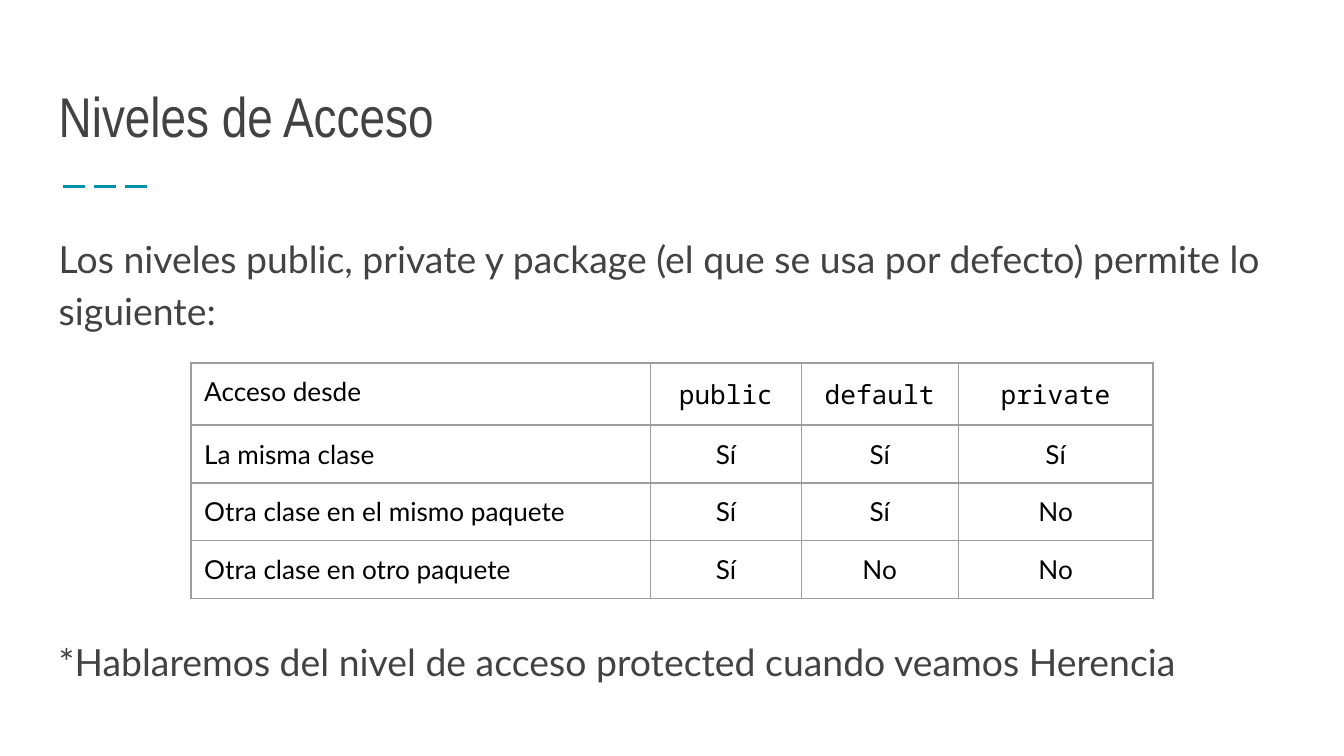
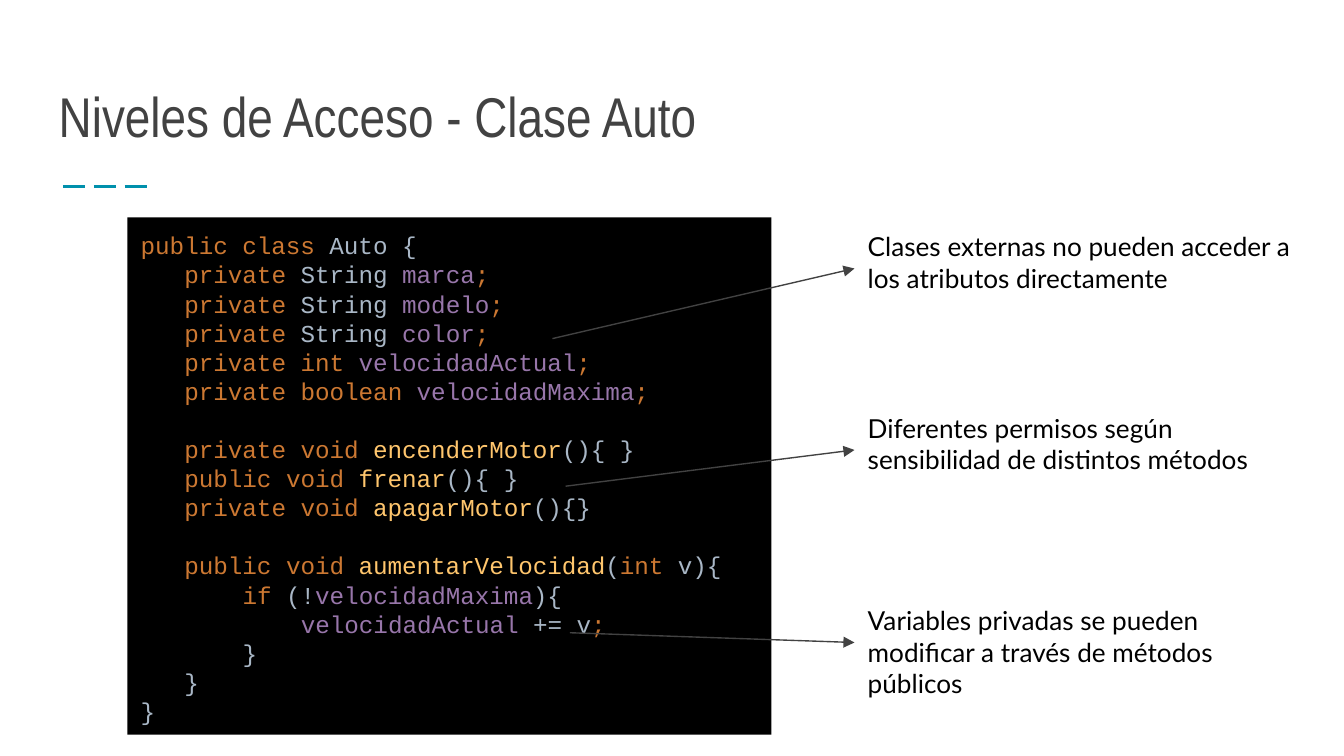
from lxml.etree import SubElement
from pptx import Presentation
from pptx.dml.color import RGBColor
from pptx.enum.dml import MSO_LINE
from pptx.enum.shapes import MSO_CONNECTOR, MSO_SHAPE
from pptx.enum.text import MSO_ANCHOR, MSO_AUTO_SIZE, PP_ALIGN
from pptx.oxml.ns import qn
from pptx.util import Cm, Pt

COLORS = {
    "ink": "424242", "accent": "0090AC", "black": "000000", "grid": "9E9E9E",
    "keyword": "CC7832", "plain": "A9B7C6", "field": "9876AA", "method": "FFC66D",
}
FONTS = {
    "title": {"name": "Arial Narrow", "size": Pt(30)},
    "body": {"name": "Lato", "size": Pt(20)},
    "small": {"name": "Lato", "size": Pt(14)},
    "mono": {"name": "Noto Sans Mono", "size": Pt(14)},
    "code": {"name": "Courier New", "size": Pt(13)},
}
MARGIN = Cm(0.25)
FRAME = {
    "word_wrap": True, "auto_size": MSO_AUTO_SIZE.NONE, "vertical_anchor": MSO_ANCHOR.TOP,
    "margin_left": MARGIN, "margin_right": MARGIN,
    "margin_top": MARGIN, "margin_bottom": MARGIN,
}
CELL = {key: MARGIN for key in FRAME if key.startswith("margin")}
LEFT, WIDTH = 0.86, 23.67
CODE_CHAR, CODE_LINE = 7.8, 15.6  # points
BODY_LINE, BODY_GAP, TABLE_LINES = 27.6, 10, 4  # points, and lines kept for the table


def apply(target, values):
    for key, value in values.items():
        setattr(target, key, value)


def rgb(color):
    return RGBColor.from_string(COLORS[color])


class Deck:
    def __init__(self):
        self.prs = Presentation()
        apply(self.prs, {"slide_width": Cm(25.4), "slide_height": Cm(14.29)})
        self.slide = None

    def place(self, shape, *box):
        apply(shape, dict(zip(("left", "top", "width", "height"), map(Cm, box))))

    def add_text(self, paragraph, text, font, color):
        run = paragraph.add_run()
        run.text = text
        apply(run.font, FONTS[font])
        run.font.color.rgb = rgb(color)

    def new_slide(self, title, layout):
        self.slide = self.prs.slides.add_slide(self.prs.slide_layouts[layout])
        self.line((1.19, 3.53), (2.9, 3.53), "accent", 1.5).line.dash_style = MSO_LINE.LONG_DASH
        heading = self.slide.shapes.title
        self.place(heading, LEFT, 1.04, WIDTH, 2.03)
        apply(heading.text_frame, {**FRAME, "vertical_anchor": MSO_ANCHOR.BOTTOM})
        paragraph = heading.text_frame.paragraphs[0]
        paragraph.alignment = PP_ALIGN.LEFT
        self.add_text(paragraph, title, "title", "ink")

    def body(self, entries):
        """Entries are (text, points before the paragraph)."""
        body = self.slide.placeholders[1]
        self.place(body, LEFT, 4.09, WIDTH, 8.61)
        apply(body.text_frame, FRAME)
        for number, (text, before) in enumerate(entries):
            paragraph = body.text_frame.add_paragraph() if number else body.text_frame.paragraphs[0]
            apply(paragraph, {"line_spacing": 1.15, "space_before": Pt(before)})
            properties = paragraph._p.get_or_add_pPr()
            properties.set("marL", "0")
            properties.set("indent", "0")
            SubElement(properties, qn("a:buNone"))
            self.add_text(paragraph, text, "body", "ink")

    def line(self, start, end, color, weight):
        line = self.slide.shapes.add_connector(MSO_CONNECTOR.STRAIGHT, *map(Cm, start + end))
        line.line.color.rgb = rgb(color)
        line.line.width = Pt(weight)
        SubElement(line._element.spPr, qn("a:effectLst"))
        return line

    def arrow(self, start, note):
        arrow = self.line(start, start, "ink", 0.75)
        arrow.end_connect(note, 1)
        SubElement(arrow._element.spPr.find(qn("a:ln")), qn("a:tailEnd"), type="triangle")

    def note(self, text, *box):
        note = self.slide.shapes.add_textbox(*map(Cm, box))
        apply(note.text_frame, FRAME)
        self.add_text(note.text_frame.paragraphs[0], text, "small", "black")
        return note

    def table(self, rows, left, top, widths, row_height):
        frame = self.slide.shapes.add_table(
            len(rows), len(widths), Cm(left), Cm(top), Cm(sum(widths)), Cm(row_height * len(rows)))
        table = frame.table
        apply(table, {"first_row": False, "horz_banding": False})
        for column, width in zip(table.columns, widths):
            column.width = Cm(width)
        for r, row in enumerate(rows):
            for c, text in enumerate(row):
                cell = table.cell(r, c)
                apply(cell, CELL)
                self.borders(cell)
                cell.fill.background()
                paragraph = cell.text_frame.paragraphs[0]
                paragraph.alignment = PP_ALIGN.CENTER if c else PP_ALIGN.LEFT
                self.add_text(paragraph, text, "mono" if c and not r else "small", "black")

    def borders(self, cell):
        properties = cell._tc.get_or_add_tcPr()
        for side in ("lnL", "lnR", "lnT", "lnB"):
            border = SubElement(properties, qn(f"a:{side}"), w=str(Pt(0.75)))
            fill = SubElement(border, qn("a:solidFill"))
            SubElement(fill, qn("a:srgbClr"), val=COLORS["grid"])

    def code(self, lines, *box):
        """Lines are (indent in characters, empty lines before, coloured parts)."""
        panel = self.slide.shapes.add_shape(MSO_SHAPE.RECTANGLE, *map(Cm, box))
        panel.shadow.inherit = False
        panel.fill.solid()
        panel.fill.fore_color.rgb = rgb("black")
        panel.line.fill.background()
        apply(panel.text_frame, FRAME)
        for number, (indent, gap, parts) in enumerate(lines):
            paragraph = panel.text_frame.add_paragraph() if number else panel.text_frame.paragraphs[0]
            apply(paragraph, {"alignment": PP_ALIGN.LEFT, "line_spacing": Pt(CODE_LINE),
                              "space_before": Pt(gap * CODE_LINE)})
            paragraph._p.get_or_add_pPr().set("marL", str(Pt(indent * CODE_CHAR)))
            for text, color in parts:
                self.add_text(paragraph, text, "code", color)


def attribute(kind, name, color="keyword"):
    return 3, 0, [("private ", "keyword"), (f"{kind} ", color), (name, "field"), (";", "keyword")]


def method(access, name, rest, gap=0):
    return 3, gap, [(f"{access} void ", "keyword"), (name, "method"), *rest]


def closing(indent):
    return indent, 0, [("}", "plain")]


def access_levels(deck):
    deck.new_slide("Niveles de Acceso", 1)
    deck.body([
        ("Los niveles public, private y package (el que se usa por defecto) permite lo siguiente:", 0),
        ("*Hablaremos del nivel de acceso protected cuando veamos Herencia",
         TABLE_LINES * (BODY_LINE + BODY_GAP) + BODY_GAP),
    ])
    deck.table([
        ("Acceso desde", "public", "default", "private"),
        ("La misma clase", "Sí", "Sí", "Sí"),
        ("Otra clase en el mismo paquete", "Sí", "Sí", "No"),
        ("Otra clase en otro paquete", "Sí", "No", "No"),
    ], 3.61, 6.86, (8.69, 2.84, 2.97, 3.68), 1.07)


def auto_class(deck):
    deck.new_slide("Niveles de Acceso - Clase Auto", 5)
    # Class listing
    deck.code([
        (0, 0, [("public class ", "keyword"), ("Auto {", "plain")]),
        *(attribute("String", name, "plain") for name in ("marca", "modelo", "color")),
        attribute("int", "velocidadActual"),
        attribute("boolean", "velocidadMaxima"),
        method("private", "encenderMotor", [("(){ }", "plain")], gap=1),
        method("public", "frenar", [("(){ }", "plain")]),
        method("private", "apagarMotor", [("(){}", "plain")]),
        method("public", "aumentarVelocidad",
               [("(", "plain"), ("int ", "keyword"), ("v){", "plain")], gap=1),
        (7, 0, [("if ", "keyword"), ("(!", "plain"), ("velocidadMaxima", "field"), ("){", "plain")]),
        (11, 0, [("velocidadActual ", "field"), ("+= v", "plain"), (";", "keyword")]),
        *map(closing, (7, 3, 0)),
    ], 2.41, 4.11, 12.17, 9.78)
    # Notes with their arrows
    for text, top, start in (
        ("Clases externas no pueden acceder a los atributos directamente", 4.11, (10.44, 6.4)),
        ("Diferentes permisos según sensibilidad de distintos métodos", 7.54, (10.69, 9.19)),
        ("Variables privadas se pueden modificar a través de métodos públicos", 11.18, (10.77, 11.96)),
    ):
        deck.arrow(start, deck.note(text, 16.15, top, 8.51, 1.93))


def main():
    deck = Deck()
    access_levels(deck)
    auto_class(deck)
    deck.prs.save("out.pptx")


if __name__ == "__main__":
    main()
